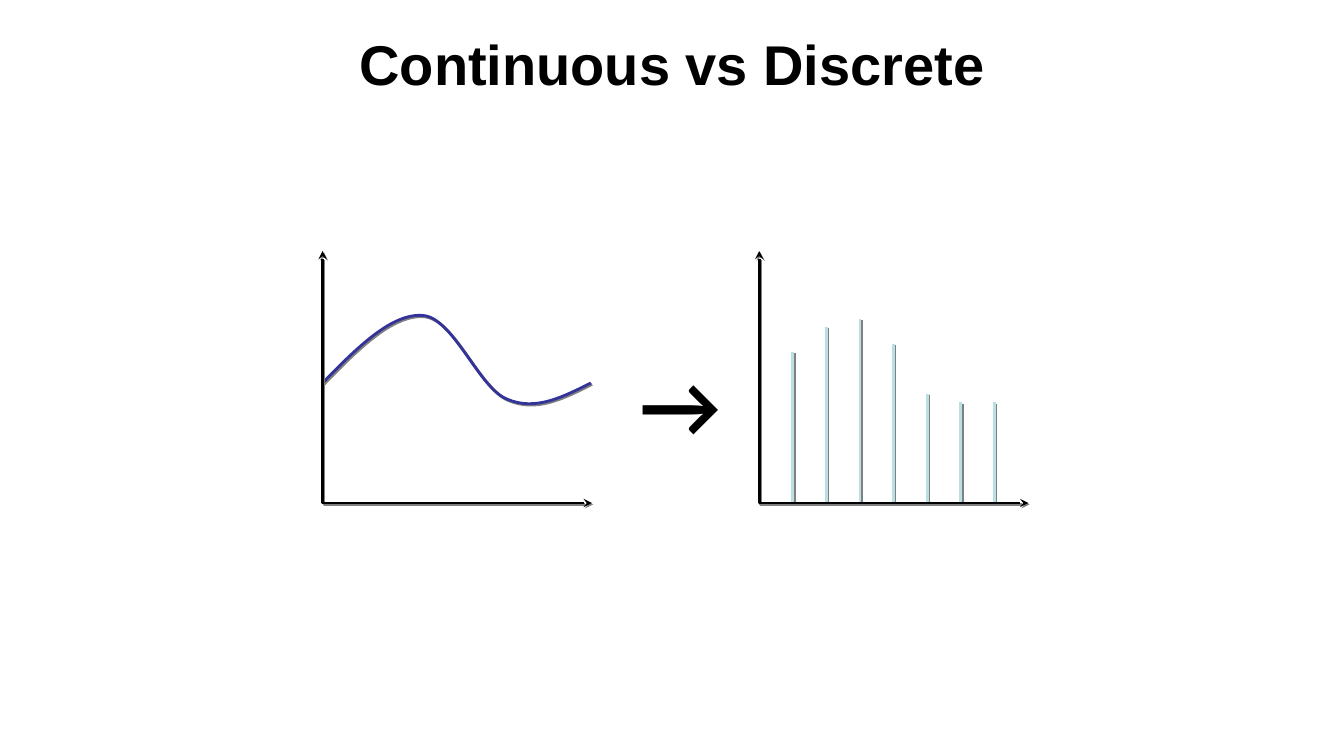
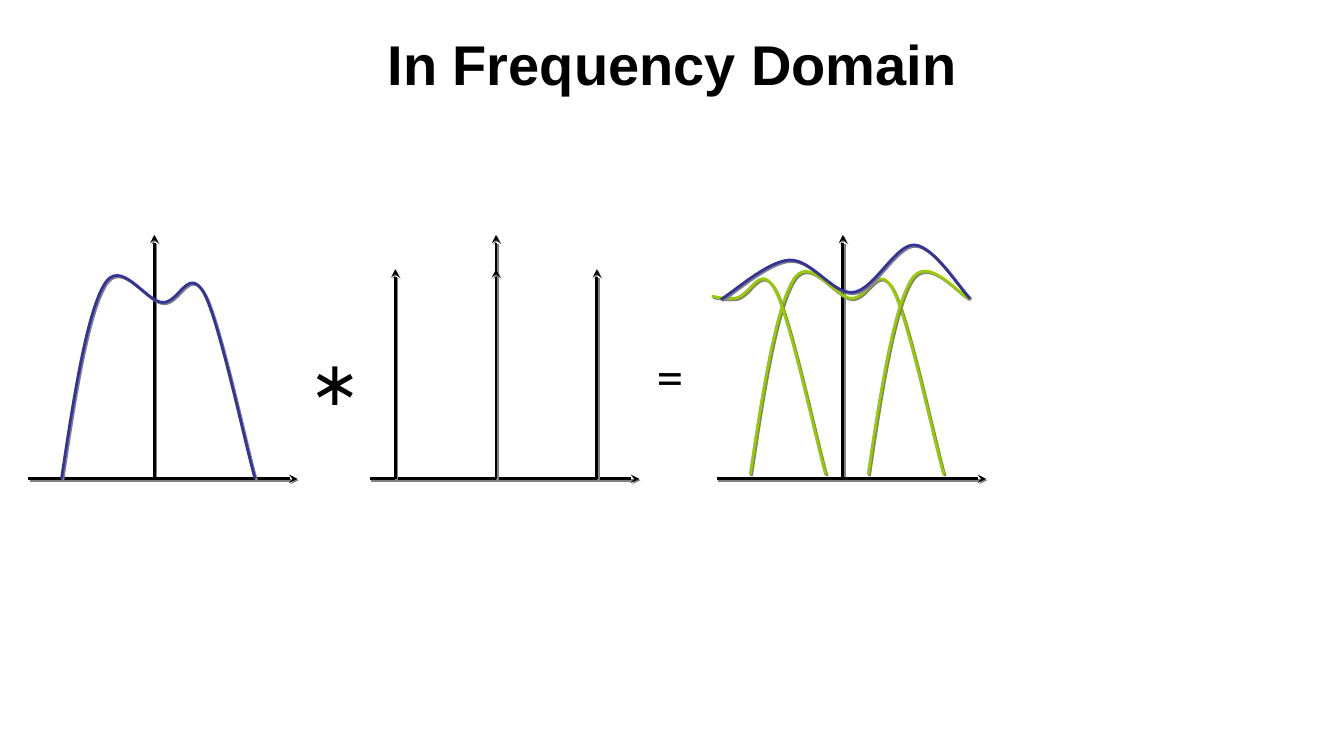
from pptx import Presentation
from pptx.dml.color import RGBColor
from pptx.enum.shapes import MSO_CONNECTOR
from pptx.enum.text import MSO_ANCHOR, PP_ALIGN
from pptx.oxml import parse_xml
from pptx.oxml.ns import nsdecls
from pptx.oxml.xmlchemy import OxmlElement
from pptx.util import Inches, Pt

BLACK = RGBColor(0x00, 0x00, 0x00)
NAVY = RGBColor(0x33, 0x33, 0x99)
GREEN = RGBColor(0x99, 0xCC, 0x00)
PALE_TEAL = RGBColor(0xBB, 0xE0, 0xE3)
SHADOW = RGBColor(0x80, 0x80, 0x80)

TITLE_FONT, SYMBOL_FONT = "Arial", "Lato"
AXIS_LENGTH = 2.67

# Time domain plots
TIME_TOP, TIME_BASE = 2.49, 4.99
SIGNAL_LEFT, SAMPLES_LEFT = 3.2, 7.53
SAMPLE_HEIGHTS = (1.5, 1.75, 1.83, 1.58, 1.08, 1, 1)
SIGNAL = [(3.2, 3.8), (3.54, 3.45), (3.89, 3.1), (4.2, 3.13), (4.5, 3.16),
          (4.75, 3.85), (5.03, 3.96), (5.31, 4.08), (5.58, 3.94), (5.86, 3.8)]

# Frequency domain plots
FREQ_TOP, FREQ_BASE, IMPULSE_TOP = 2.33, 4.75, 2.67
FREQ_CENTERS = (1.53, 4.92, 8.36)
SPECTRUM = [(0.61, 4.75), (0.73, 3.94), (0.86, 3.12), (1.03, 2.83), (1.19, 2.54),
            (1.44, 2.99), (1.61, 3), (1.78, 3.01), (1.87, 2.62), (2.03, 2.92),
            (2.18, 3.21), (2.44, 4.44), (2.53, 4.75)]
REPLICA_X, REPLICA_RISE, REPLICA_STEP = 6.83, -0.04, 1.17
SPECTRUM_SUM = [(7.15, 2.97), (7.26, 2.91), (7.61, 2.59), (7.83, 2.58), (8.05, 2.57),
                (8.26, 2.92), (8.46, 2.9), (8.67, 2.88), (8.88, 2.42), (9.07, 2.43),
                (9.26, 2.44), (9.51, 2.85), (9.62, 2.96)]


def shadow_effect():
    return parse_xml(
        f'<a:effectLst {nsdecls("a")}><a:outerShdw blurRad="0" dist="{Pt(1.4)}" '
        f'dir="2700000" algn="ctr" rotWithShape="0"><a:srgbClr val="{SHADOW}"/>'
        '</a:outerShdw></a:effectLst>')


def style_stroke(stroke, color, arrows=()):
    """Colour a line, give it a hard shadow and stealth tips at the named ends."""
    stroke.line.color.rgb = color
    stroke.line.width = Pt(2)
    ln = stroke.line._get_or_add_ln()
    for end in arrows:
        tip = OxmlElement(f"a:{end}")
        tip.set("type", "stealth")
        ln.append(tip)
    ln.addnext(shadow_effect())


def add_straight(slide, start, end, color=BLACK, arrows=()):
    ends = [Inches(value) for value in (*start, *end)]
    straight = slide.shapes.add_connector(MSO_CONNECTOR.STRAIGHT, *ends)
    style_stroke(straight, color, arrows)


def add_outline(slide, points, color, arrows=()):
    (x, y), *rest = [(Inches(px), Inches(py)) for px, py in points]
    builder = slide.shapes.build_freeform(x, y)
    builder.add_line_segments(rest, close=False)
    outline = builder.convert_to_shape()
    outline.fill.background()
    style_stroke(outline, color, arrows)
    return outline


def add_curve(slide, points, color):
    """Draw Bézier segments: a start point, then two controls and an end each."""
    curve = add_outline(slide, points, color)
    segments = curve._element.xpath(".//a:lnTo")
    for first in range(0, len(segments), 3):
        bezier = OxmlElement("a:cubicBezTo")
        segments[first].addprevious(bezier)
        for segment in segments[first:first + 3]:
            bezier.append(segment[0])
            segment.getparent().remove(segment)


def add_label(slide, box, text, size, font=SYMBOL_FONT, bold=False, anchor=MSO_ANCHOR.TOP):
    label = slide.shapes.add_textbox(*map(Inches, box))
    frame = label.text_frame
    frame.word_wrap = True
    frame.vertical_anchor = anchor
    frame.text = text
    paragraph = frame.paragraphs[0]
    paragraph.alignment = PP_ALIGN.CENTER
    run = paragraph.runs[0]
    run.font.size = Pt(size)
    run.font.bold = bold
    run.font.name = font
    run.font.color.rgb = BLACK
    return run


def add_titled_slide(deck, title):
    slide = deck.slides.add_slide(deck.slide_layouts[6])
    run = add_label(slide, (0.22, 0.17, 12.89, 0.92), title, 40, TITLE_FONT, True,
                    MSO_ANCHOR.MIDDLE)
    run.font._element.find("{*}solidFill").addnext(shadow_effect())
    return slide


def add_corner_axes(slide, left):
    corner = [(left, TIME_TOP), (left, TIME_BASE), (left + AXIS_LENGTH, TIME_BASE)]
    add_outline(slide, corner, BLACK, ("headEnd", "tailEnd"))


def add_up_arrow(slide, x, top):
    add_straight(slide, (x, FREQ_BASE), (x, top), arrows=("tailEnd",))


def add_centered_axes(slide, center):
    left = center - 1.25
    add_up_arrow(slide, center, FREQ_TOP)
    add_straight(slide, (left, FREQ_BASE), (left + AXIS_LENGTH, FREQ_BASE),
                 arrows=("tailEnd",))


def replica(step):
    """Spectrum points moved by whole replica steps."""
    shift = REPLICA_X + step * REPLICA_STEP
    return [(x + shift, y + REPLICA_RISE) for x, y in SPECTRUM]


def add_sampling_slide(deck):
    slide = add_titled_slide(deck, "Continuous vs Discrete")
    for number, height in enumerate(SAMPLE_HEIGHTS, 1):
        x = SAMPLES_LEFT + number / 3
        add_straight(slide, (x, TIME_BASE), (x, TIME_BASE - height), PALE_TEAL)
    add_corner_axes(slide, SAMPLES_LEFT)
    add_curve(slide, SIGNAL, NAVY)
    add_corner_axes(slide, SIGNAL_LEFT)
    add_label(slide, (6.23, 3.46, 0.93, 1.11), "→", 60, bold=True)


def add_frequency_slide(deck):
    slide = add_titled_slide(deck, "In Frequency Domain")
    for center in FREQ_CENTERS:
        add_centered_axes(slide, center)
    for offset in (-1, 0, 1):
        add_up_arrow(slide, FREQ_CENTERS[1] + offset, IMPULSE_TOP)
    add_label(slide, (2.86, 3.36, 0.93, 0.83), "∗", 44)
    add_label(slide, (6.18, 3.38, 0.93, 0.7), "=", 36)

    add_curve(slide, SPECTRUM, NAVY)
    left_part = [(7.06, 2.94), (7.09, 2.94), (7.17, 2.97)] + replica(-1)[6:]
    right_part = replica(1)[:5] + [(9.51, 2.93), (9.61, 2.96)]
    for points in (replica(0), left_part, right_part):
        add_curve(slide, points, GREEN)
    add_curve(slide, SPECTRUM_SUM, NAVY)


def main():
    deck = Presentation()
    deck.slide_width, deck.slide_height = Inches(13.33), Inches(7.5)
    add_sampling_slide(deck)
    add_frequency_slide(deck)
    deck.save("out.pptx")


if __name__ == "__main__":
    main()
